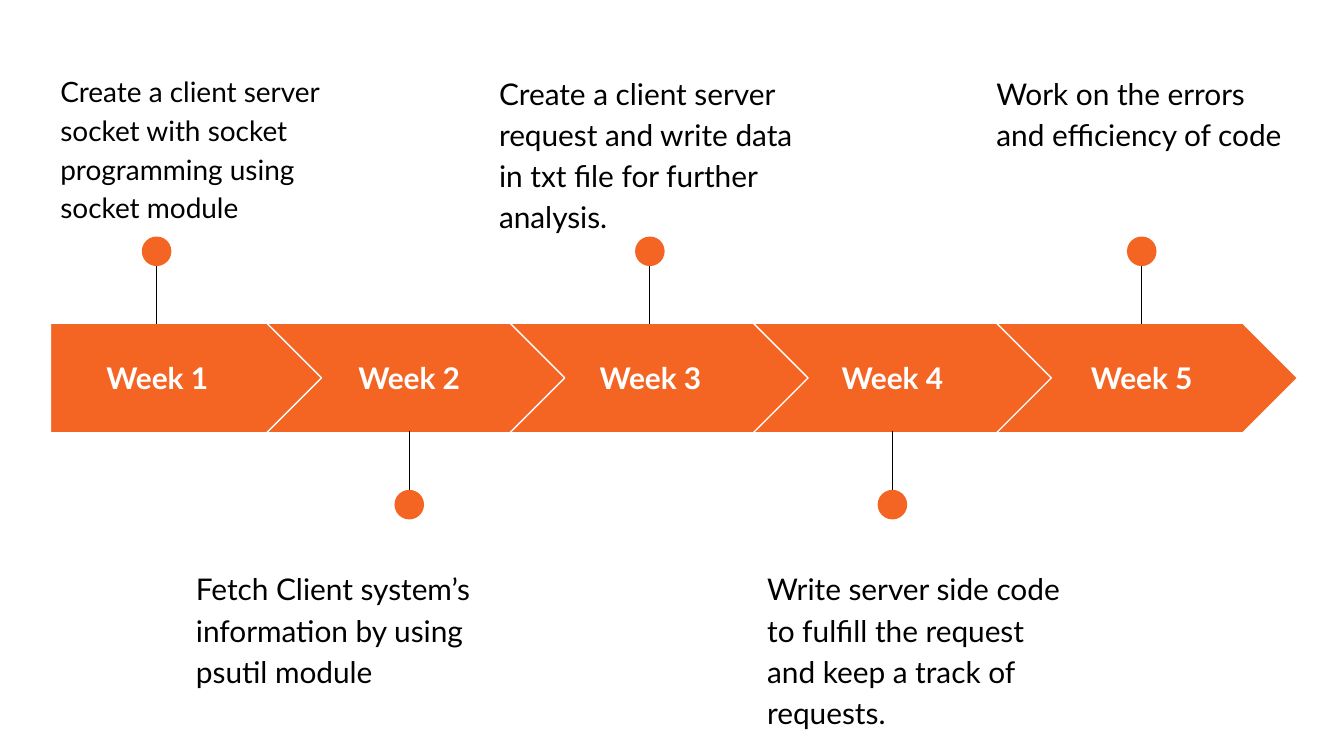
from dataclasses import dataclass

from lxml import etree
from pptx import Presentation
from pptx import util as u
from pptx.dml.color import RGBColor
from pptx.enum import shapes, text
from pptx.oxml import ns

SCALE = 4572  # EMU in one px, at 200 px to the inch
COLOURS = {"accent": "F46524", "white": "FFFFFF", "ink": "000000"}

ARROW_TOP, ARROW_HEIGHT = 481, 163
FIRST_LEFT, FIRST_WIDTH = 75, 409
CHEVRON_LEFT, CHEVRON_WIDTH, CHEVRON_STEP = 397, 448, 362
LABEL_TOP, LABEL_HEIGHT = 511, 102
NOTE_WIDTH, DOT, MARGIN = 490, 44, 20

LABEL_FORMAT = {"name": "Lato", "size": u.Pt(16), "bold": True}


@dataclass
class Week:
    label_left: int
    pin_x: int
    note_left: int
    note: str
    label_width: int = 288
    note_size: int = 16
    note_height: int = 198


WEEKS = [
    Week(75, 233, 70, "Create a client server socket with socket "
         "programming using socket module",
         label_width=318, note_size=15, note_height=268),
    Week(465, 609, 272, "Fetch Client system’s information by using "
         "psutil module"),
    Week(824, 967, 723, "Create a client server request and write data "
         "in txt file for further analysis."),
    Week(1184, 1328, 1122, "Write server side code to fulfill the request "
         "and keep a track of requests."),
    Week(1555, 1699, 1463, "Work on the errors and efficiency of code"),
]


def px(*lengths: int) -> list[u.Emu]:
    return [u.Emu(length * SCALE) for length in lengths]


def colour(name: str) -> RGBColor:
    return RGBColor.from_string(COLOURS[name])


def add_filled(page, kind, *place: int):
    """Add an accent-coloured preset shape without shadow or outline."""
    shape = page.shapes.add_shape(kind, *px(*place))
    shape.shadow.inherit = False
    shape.fill.solid()
    shape.fill.fore_color.rgb = colour("accent")
    shape.line.fill.background()
    return shape


def add_arrow(page, index: int) -> None:
    if index == 0:
        kind, left, width = shapes.MSO_SHAPE.PENTAGON, FIRST_LEFT, FIRST_WIDTH
    else:
        kind, width = shapes.MSO_SHAPE.CHEVRON, CHEVRON_WIDTH
        left = CHEVRON_LEFT + CHEVRON_STEP * (index - 1)
    arrow = add_filled(page, kind, left, ARROW_TOP, width, ARROW_HEIGHT)
    arrow.line.color.rgb = colour("white")
    arrow.line.width = u.Pt(0.75)


def add_text(page, place: tuple, words: str, font: dict, ink: str,
             paragraph: dict, anchor=text.MSO_ANCHOR.TOP) -> None:
    box = page.shapes.add_textbox(*px(*place))
    frame = box.text_frame
    frame.word_wrap = True
    frame.vertical_anchor = anchor
    for side in ("left", "top", "right", "bottom"):
        setattr(frame, f"margin_{side}", px(MARGIN)[0])
    para = frame.paragraphs[0]
    for name, value in paragraph.items():
        setattr(para, name, value)
    span = para.add_run()
    span.text = words
    for name, value in font.items():
        setattr(span.font, name, value)
    span.font.color.rgb = colour(ink)


def add_pin(page, x: int, above: bool) -> None:
    """Draw a line from the arrow to a dot above or below it."""
    start, end, dot_top = (360, 482, 352) if above else (764, 642, 729)
    line = page.shapes.add_connector(
        shapes.MSO_CONNECTOR.STRAIGHT, *px(x, start, x, end))
    line.line.color.rgb = colour("ink")
    line.line.width = u.Pt(0.75)
    etree.SubElement(line._element.spPr, ns.qn("a:effectLst"))
    add_filled(page, shapes.MSO_SHAPE.OVAL, x - DOT // 2, dot_top, DOT, DOT)


def add_week(page, index: int, week: Week) -> None:
    above = index % 2 == 0
    add_arrow(page, index)
    add_text(page, (week.label_left, LABEL_TOP, week.label_width, LABEL_HEIGHT),
             f"Week {index + 1}", LABEL_FORMAT, "white",
             {"alignment": text.PP_ALIGN.CENTER}, text.MSO_ANCHOR.MIDDLE)
    add_pin(page, week.pin_x, above)
    add_text(page, (week.note_left, 84 if above else 822,
                    NOTE_WIDTH, week.note_height),
             week.note, {"name": "Lato", "size": u.Pt(week.note_size)}, "ink",
             {"line_spacing": 1.15, "space_after": u.Pt(16)})


def main() -> None:
    deck = Presentation()
    deck.slide_width, deck.slide_height = px(2000, 1125)
    page = deck.slides.add_slide(deck.slide_layouts.get_by_name("Blank"))
    for index, week in enumerate(WEEKS):
        add_week(page, index, week)
    deck.save("out.pptx")


if __name__ == "__main__":
    main()
